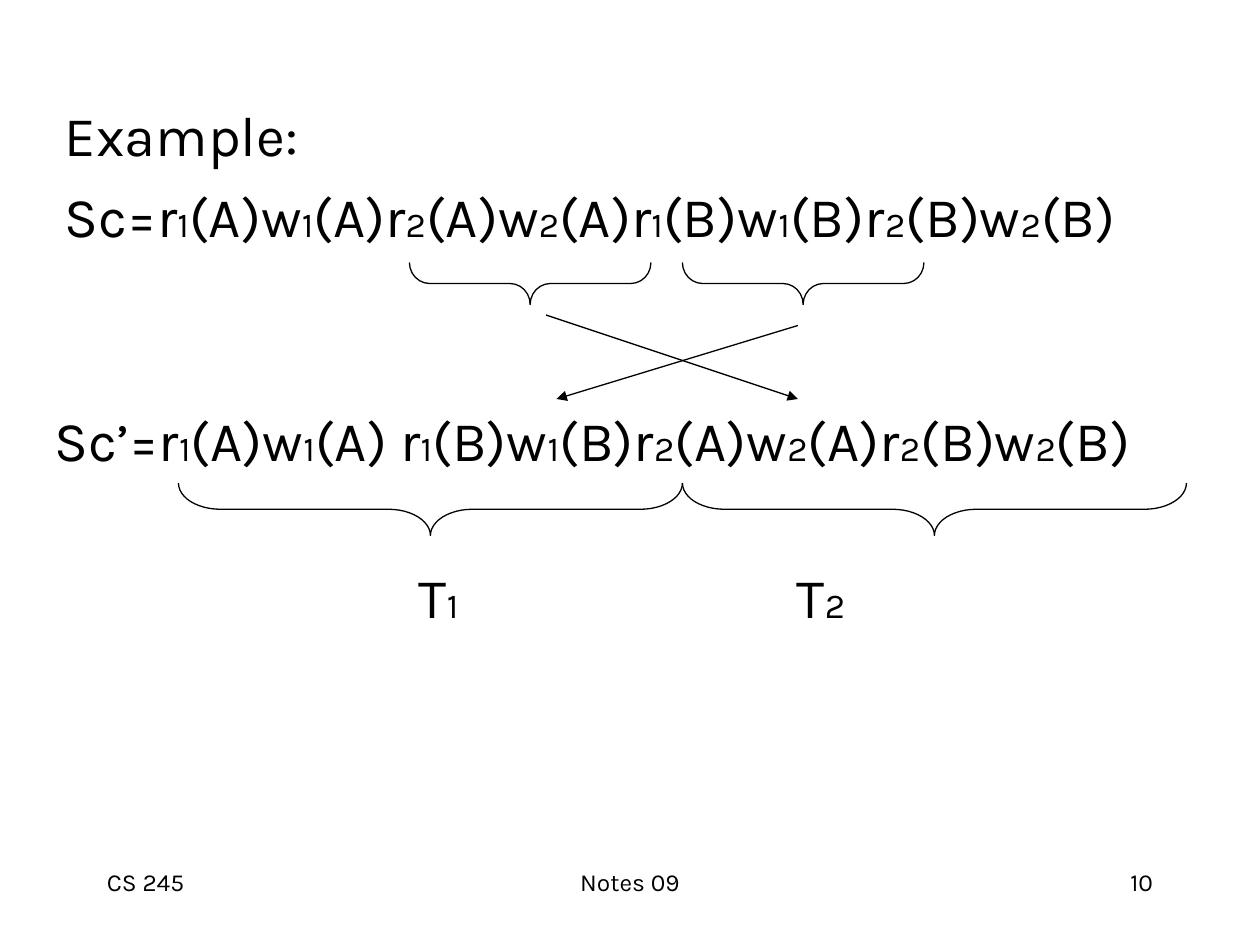
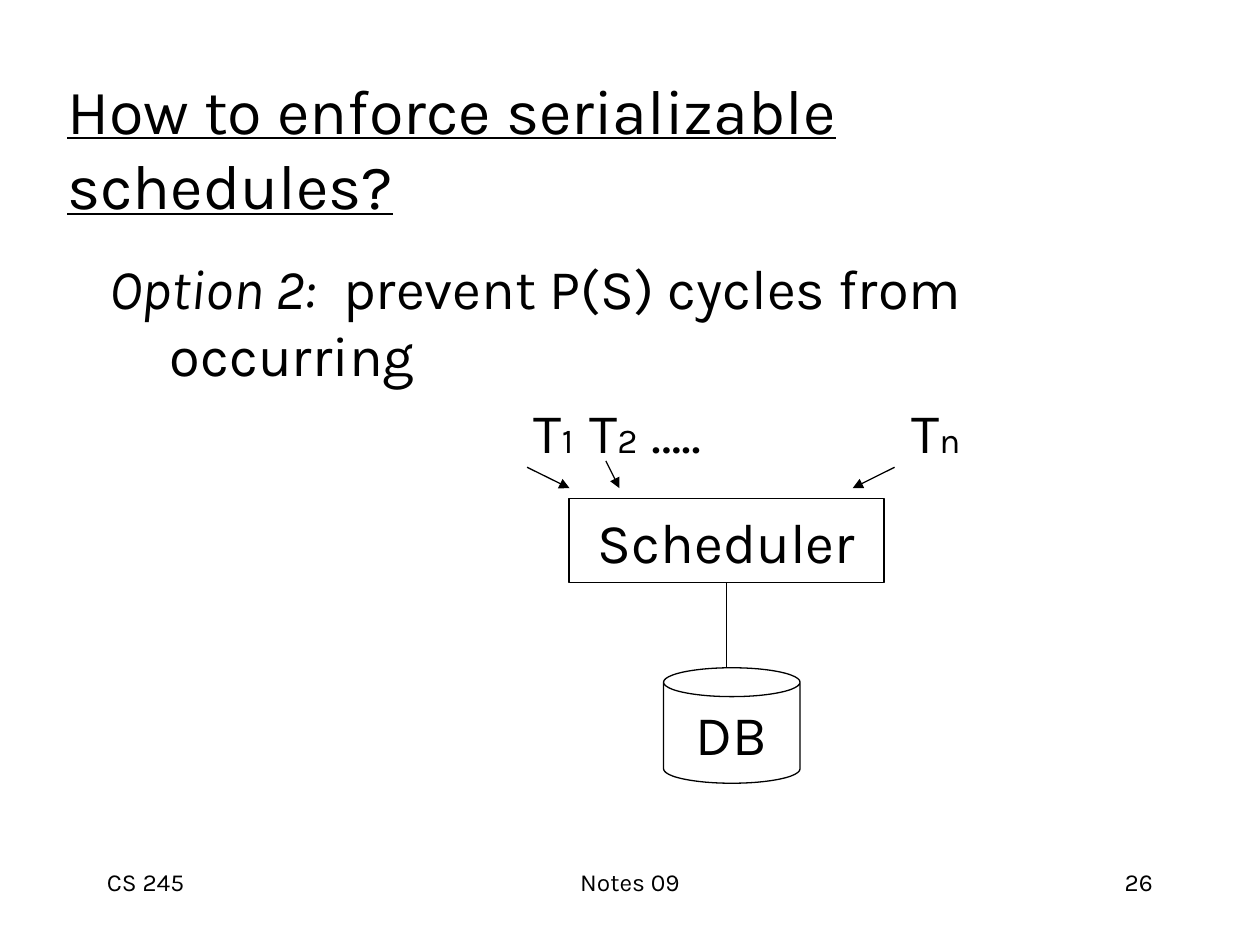
from dataclasses import dataclass

from lxml import etree
from pptx import Presentation
from pptx.dml.color import RGBColor
from pptx.enum.shapes import MSO_CONNECTOR, MSO_SHAPE
from pptx.enum.text import MSO_ANCHOR, MSO_AUTO_SIZE, PP_ALIGN
from pptx.oxml.ns import qn
from pptx.util import Inches, Pt

LEFT, CENTER, RIGHT = PP_ALIGN.LEFT, PP_ALIGN.CENTER, PP_ALIGN.RIGHT
TOP, MIDDLE = MSO_ANCHOR.TOP, MSO_ANCHOR.MIDDLE
STRAIGHT = MSO_CONNECTOR.STRAIGHT
RECTANGLE, CAN, LEFT_BRACE = MSO_SHAPE.RECTANGLE, MSO_SHAPE.CAN, MSO_SHAPE.LEFT_BRACE

COLORS = {"ink": "000000", "paper": "FFFFFF"}
FONT = "Karla"
SLIDE_WIDTH, SLIDE_HEIGHT = Inches(10), Inches(7.5)
COLUMNS, ROWS = 120, 90
TITLE_SIZE, TEXT_SIZE, INDEX_SIZE, FOOTER_SIZE = 36, 32, 20, 14
LINE_WIDTH = Pt(0.75)


@dataclass(frozen=True)
class Area:
    """A rectangle in grid columns and rows."""
    column: float
    row: float
    columns: float
    rows: float

    def box(self) -> tuple[int, int, int, int]:
        return x(self.column), y(self.row), x(self.columns), y(self.rows)


@dataclass(frozen=True)
class Link:
    """A straight line between two grid points."""
    start: tuple[float, float]
    end: tuple[float, float]
    arrow: bool = True


@dataclass(frozen=True)
class Brace:
    """A brace opening upwards; curl is its corner radius as a share of its height."""
    area: Area
    curl: float


@dataclass(frozen=True)
class Label:
    area: Area
    text: str
    size: float = TEXT_SIZE
    align: PP_ALIGN = LEFT


SWAPPED_BRACES = [Brace(Area(column, 25, 23, 4), 0.48) for column in (39, 65)]
TRANSACTION_BRACES = [Brace(Area(column, 46, 48, 5), 0.8) for column in (17, 65)]
TRANSACTION_LABELS = (
    Label(Area(38.7, 53, 8, 8), "T_1"),
    Label(Area(74.7, 53, 8, 8), "T_2"),
)
REQUEST_LABELS = (
    Label(Area(49.65, 37.25, 8, 8), "T_1"),
    Label(Area(54.95, 37.25, 15, 8), "T_2 ….."),
    Label(Area(85.6, 37.25, 8, 8), "T_n"),
)
SWAP_ARROWS = (Link((76, 31), (53, 38)), Link((52, 30), (76, 38)))
REQUEST_ARROWS = (
    Link((50.2, 44.5), (54.25, 46.5)),
    Link((57.7, 43.9), (59, 46.5)),
    Link((85.2, 44.5), (81.2, 46.5)),
)


def x(columns: float) -> int:
    return round(SLIDE_WIDTH * columns / COLUMNS)


def y(rows: float) -> int:
    return round(SLIDE_HEIGHT * rows / ROWS)


def color(name: str) -> RGBColor:
    return RGBColor.from_string(COLORS[name])


def write(paragraph, text: str, *, size: float = TEXT_SIZE, italic: bool = False,
          underline: bool = False, align: PP_ALIGN = LEFT, spacing: float = 0) -> None:
    """Append text; the character after each "_" is a small index, spacing is in points."""
    paragraph.alignment = align
    first, *indexed = text.split("_")
    pieces = [(first, size)]
    for part in indexed:
        pieces += [(part[0], INDEX_SIZE), (part[1:], size)]
    for piece, points in pieces:
        if not piece:
            continue
        run = paragraph.add_run()
        run.text = piece
        run.font.name, run.font.size = FONT, Pt(points)
        run.font.italic, run.font.underline = italic, underline
        run.font.color.rgb = color("ink")
        if spacing:
            run._r.get_or_add_rPr().set("spc", str(round(spacing * 100)))


def lay_out(paragraph, *, hanging: float = 0.38, before: float = 0) -> None:
    """Set a hanging indent in inches and space before in points, without a bullet."""
    properties = paragraph._p.get_or_add_pPr()
    properties.set("marL", str(Inches(hanging)))
    properties.set("indent", str(-Inches(hanging)))
    etree.SubElement(properties, qn("a:buNone"))
    paragraph.space_before = Pt(before)


def set_frame(shape, *, anchor: MSO_ANCHOR = TOP, wrap: bool = True):
    frame = shape.text_frame
    frame.word_wrap, frame.auto_size = wrap, MSO_AUTO_SIZE.NONE
    frame.vertical_anchor = anchor
    return frame


def place(placeholder, area: Area, anchor: MSO_ANCHOR = TOP):
    placeholder.left, placeholder.top, placeholder.width, placeholder.height = area.box()
    return set_frame(placeholder, anchor=anchor)


def add_text_area(slide, area: Area):
    return set_frame(slide.shapes.add_textbox(*area.box()))


def add_label(slide, label: Label) -> None:
    frame = add_text_area(slide, label.area)
    write(frame.paragraphs[0], label.text, size=label.size, align=label.align)


def draw_outline(shape) -> None:
    shape.shadow.inherit = False
    shape.line.color.rgb = color("ink")
    shape.line.width = LINE_WIDTH


def add_node(slide, kind: MSO_SHAPE, area: Area, label: str):
    node = slide.shapes.add_shape(kind, *area.box())
    draw_outline(node)
    node.fill.solid()
    node.fill.fore_color.rgb = color("paper")
    frame = set_frame(node, anchor=MIDDLE, wrap=False)
    write(frame.paragraphs[0], label, align=CENTER)
    return node


def add_brace(slide, brace: Brace) -> None:
    """Turn a tall left brace by a quarter so that its tip points down."""
    left, top, width, height = brace.area.box()
    shape = slide.shapes.add_shape(LEFT_BRACE, left + (width - height) // 2,
                                   top + (height - width) // 2, height, width)
    shape.rotation = 270
    shape.adjustments[0] = brace.curl
    shape.fill.background()
    draw_outline(shape)


def add_link(slide, link: Link):
    (start_column, start_row), (end_column, end_row) = link.start, link.end
    connector = slide.shapes.add_connector(STRAIGHT, x(start_column), y(start_row),
                                           x(end_column), y(end_row))
    connector.line.color.rgb = color("ink")
    connector.line.width = LINE_WIDTH
    if link.arrow:
        etree.SubElement(connector.line._get_or_add_ln(), qn("a:tailEnd"), type="triangle")
    etree.SubElement(connector._element.spPr, qn("a:effectLst"))
    return connector


def add_footer(slide, number: int) -> None:
    for label in (
        Label(Area(9, 82, 25, 6), "CS 245", FOOTER_SIZE),
        Label(Area(41, 82, 38, 6), "Notes 09", FOOTER_SIZE, CENTER),
        Label(Area(86, 82, 25, 6), str(number), FOOTER_SIZE, RIGHT),
    ):
        add_label(slide, label)


def add_swap_slide(prs) -> None:
    slide = prs.slides.add_slide(prs.slide_layouts[1])
    title = slide.shapes.title._element
    title.getparent().remove(title)

    swapped_schedule = place(slide.placeholders[1], Area(4, 38, 111, 8)).paragraphs[0]
    lay_out(swapped_schedule)
    write(swapped_schedule,
          "Sc’=r_1(A)w_1(A) r_1(B)w_1(B)r_2(A)w_2(A)r_2(B)w_2(B)")

    example = add_text_area(slide, Area(5, 9, 111, 17))
    heading, schedule = example.paragraphs[0], example.add_paragraph()
    lay_out(heading)
    write(heading, "Example:")
    lay_out(schedule, before=8)
    write(schedule, "Sc=r_1(A)w_1(A)r_2(A)w_2(A)r_1(B)w_1(B)r_2(B)w_2(B)")

    for brace in SWAPPED_BRACES + TRANSACTION_BRACES:
        add_brace(slide, brace)
    for arrow in SWAP_ARROWS:
        add_link(slide, arrow)
    for label in TRANSACTION_LABELS:
        add_label(slide, label)
    add_footer(slide, 10)


def add_scheduler_slide(prs) -> None:
    slide = prs.slides.add_slide(prs.slide_layouts[1])
    title = place(slide.shapes.title, Area(5.2, 6.5, 105, 15), MIDDLE)
    write(title.paragraphs[0], "How to enforce serializable schedules?",
          size=TITLE_SIZE, underline=True)

    option = place(slide.placeholders[1], Area(9.2, 23.5, 102, 13.5)).paragraphs[0]
    lay_out(option, hanging=0.48)
    write(option, "Option 2:", italic=True)
    write(option, " ", spacing=7.5)
    write(option, "prevent P(S) cycles from occurring")

    for label in REQUEST_LABELS:
        add_label(slide, label)
    scheduler = add_node(slide, RECTANGLE, Area(54.2, 47.5, 30, 8), "Scheduler")
    database = add_node(slide, CAN, Area(63.2, 63.6, 13, 11), "DB")
    database.adjustments[0] = 0.25
    access = add_link(slide, Link((69.2, 55.5), (69.2, 63.6), arrow=False))
    access.begin_connect(scheduler, 2)
    for arrow in REQUEST_ARROWS:
        add_link(slide, arrow)
    add_footer(slide, 26)


def main() -> None:
    prs = Presentation()
    prs.slide_width, prs.slide_height = SLIDE_WIDTH, SLIDE_HEIGHT
    add_swap_slide(prs)
    add_scheduler_slide(prs)
    prs.save("out.pptx")


if __name__ == "__main__":
    main()
